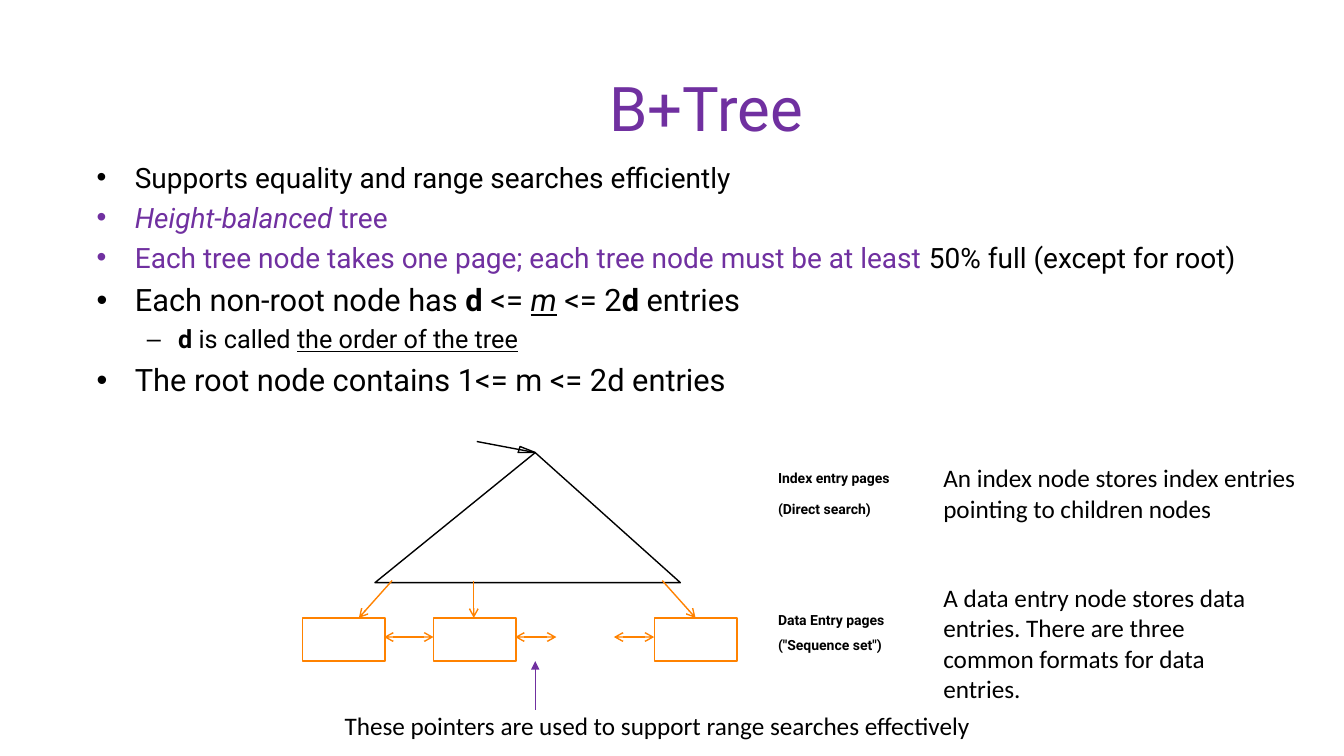
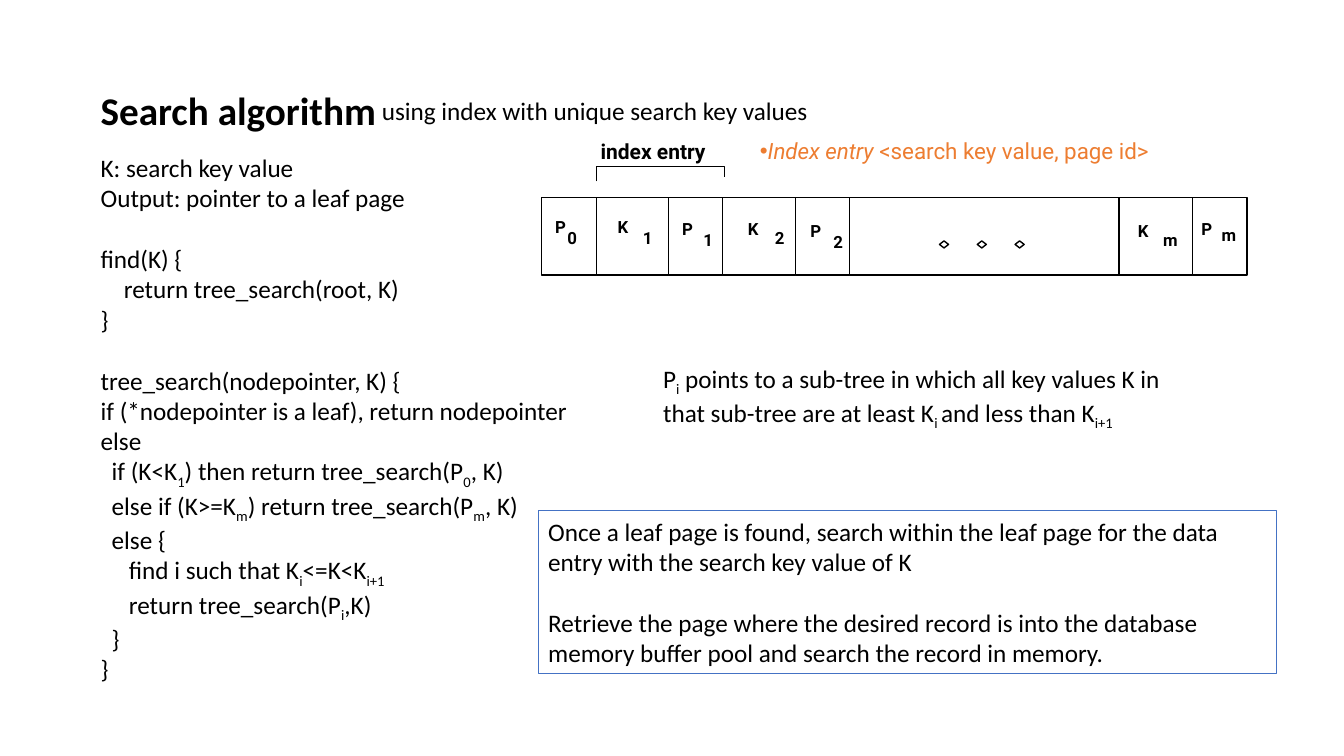
from itertools import pairwise
from pptx import Presentation, util as u
from pptx.dml.color import RGBColor
from pptx.enum import shapes, text
from pptx.oxml.ns import qn
from lxml import etree

GRID = u.Inches(0.1)
WIDE, HIGH = 133.33, 75
BLACK, PURPLE, ORANGE = "000000", "7030A0", "FF8200"
RUST, BLUE = "ED7D31", "4472C4"
HEAD, BODY = "Roboto", "Calibri"

BULLETS = [
    ("Supports equality and range searches efficiently", 20, 0),
    ("~ip:Height-balanced~~p: tree~", 20, 0),
    ("~p:Each tree node takes one page; each tree node must be at least ~"
     "50% full (except for root)", 20, 0),
    ("Each non-root node has ~b:d~ <= ~iu:m~ <= 2~b:d~ entries", 22, 0),
    ("~b:d~ is called ~u:the order of the tree~", 18, 1),
    ("The root node contains 1<= m <= 2d entries", 22, 0),
]
LEVELS = [(0.38, 0.38, "•"), (0.81, 0.31, "–")]

NOTES = [
    ("Index entry pages", 46.1, 13.7),
    ("(Direct search)", 49.2, 11.7),
    ("Data Entry pages", 60.2, 13),
    ('("Sequence set")', 62.7, 12.7),
]

CODE = [
    ("K: search key value", 0, 0),
    ("Output: pointer to a leaf page", 0, 0),
    ("find(K) {", 0, 1),
    ("return tree_search(root, K)", 4, 0),
    ("}", 0, 0),
    ("tree_search(nodepointer, K) {", 0, 1),
    ("if (*nodepointer is a leaf), return nodepointer", 0, 0),
    ("else", 0, 0),
    ("if (K<K~s:1~) then return tree_search(P~s:0~, K)", 2, 0),
    ("else if (K>=K~s:m~) return tree_search(P~s:m~, K)", 2, 0),
    ("else {", 2, 0),
    ("find i such that K~s:i~<=K<K~s:i+1~", 5, 0),
    ("return tree_search(P~s:i~,K)", 5, 0),
    ("}", 2, 0),
    ("}", 0, 0),
]
SPACE = 0.0565
LINE = u.Pt(22)

EDGES = [53.7, 59.2, 66.3, 71.7, 78.9, 84.3, 111, 118.3, 123.7]
KEYS = [
    ("P", "0", 54.1, 21, 1.2, 1.1),
    ("K", "1", 60.3, 21, 2.5, 1.1),
    ("P", "1", 66.7, 21.2, 2.1, 1.1),
    ("K", "2", 73.2, 21.2, 2.7, 0.9),
    ("P", "2", 79.4, 21.4, 2.3, 1.1),
    ("K", "m", 111.9, 21.4, 2.5, 0.9),
    ("P", "m", 118.2, 21.2, 2, 0.6),
]


def at(*nums):
    """Turn grid units into lengths."""
    return [round(num * GRID) for num in nums]


def hue(code):
    """Turn a hex string into a colour."""
    return RGBColor.from_string(code)


def fill_in(frame, lines, size, font=BODY, color=BLACK, bold=False):
    """Write lines; pieces such as ~bi:word~ carry style marks."""
    for num, line in enumerate(lines):
        par = frame.paragraphs[0] if num == 0 else frame.add_paragraph()
        for odd, piece in enumerate(line.split("~")):
            if not piece:
                continue
            marks, _, words = piece.partition(":") if odd % 2 else ("", "", piece)
            run = par.add_run()
            run.text = words
            face = run.font
            face.name, face.size = font, u.Pt(size)
            face.bold = bold or "b" in marks
            face.italic, face.underline = "i" in marks, "u" in marks
            face.color.rgb = hue(PURPLE if "p" in marks else color)
            if "s" in marks:
                run._r.get_or_add_rPr().set("baseline", "-25000")
    return frame


def label(slide, box, lines, size, wrap=True, **look):
    """Add a text box."""
    frame = slide.shapes.add_textbox(*at(*box)).text_frame
    frame.word_wrap = wrap
    return fill_in(frame, lines, size, **look)


def indent(par, left, hang=0, mark=None):
    """Set a paragraph's indent and bullet, in inches."""
    props = par._p.get_or_add_pPr()
    props.set("marL", str(u.Inches(left)))
    props.set("indent", str(-u.Inches(hang)))
    if mark:
        face = etree.SubElement(props, qn("a:buFont"))
        face.set("typeface", "Arial")
        etree.SubElement(props, qn("a:buChar")).set("char", mark)


def trim(shape, color, width=1):
    """Leave a shape with only its outline."""
    shape.shadow.inherit = False
    shape.fill.background()
    shape.line.color.rgb = hue(color)
    shape.line.width = u.Pt(width)
    return shape


def block(slide, box, color, width=1, kind=shapes.MSO_SHAPE.RECTANGLE):
    """Add an outlined preset shape."""
    return trim(slide.shapes.add_shape(kind, *at(*box)), color, width)


def trace(slide, points, close=True):
    """Add a black outline through points."""
    spots = [at(*point) for point in points]
    pen = slide.shapes.build_freeform(*spots[0])
    pen.add_line_segments(spots[1:], close=close)
    trim(pen.convert_to_shape(), BLACK)


def link(slide, ends, color, width=1, tips=(), kind="arrow"):
    """Add a line with arrowheads at the named ends."""
    line = slide.shapes.add_connector(shapes.MSO_CONNECTOR.STRAIGHT, *at(*ends))
    line.line.color.rgb = hue(color)
    line.line.width = u.Pt(width)
    stroke = line.line._get_or_add_ln()
    for tip in tips:
        etree.SubElement(stroke, qn("a:" + tip)).set("type", kind)
    etree.SubElement(line._element.spPr, qn("a:effectLst"))


def draw_tree(slide):
    """Draw the index triangle above its linked pages."""
    trace(slide, [(37.2, 57.8), (53.1, 44.9), (67.5, 57.8)])
    link(slide, (47.3, 43.8, 53.1, 44.9), BLACK)
    trace(slide, [(51.6, 44.3), (53.1, 44.9), (51.4, 44.9)])
    for left in (30, 43, 64.9):
        block(slide, (left, 61.3, 8.2, 4.3), ORANGE)
    for start, end in ((38.1, 43), (51.1, 55.2), (60.9, 64.9)):
        link(slide, (start, 63.2, end, 63.2), ORANGE, tips=("headEnd", "tailEnd"))
    for start, end in ((38.9, 35.6), (47, 47), (65.7, 69)):
        link(slide, (start, 57.6, end, 61.3), ORANGE, tips=("tailEnd",))


def tree_page(slide):
    """Build the slide on the tree's shape."""
    title = label(slide, (24.2, 4.6, 91.7, 12.1), ["B+Tree"], 44,
                  font=HEAD, color=PURPLE)
    title.vertical_anchor = text.MSO_ANCHOR.MIDDLE
    title.paragraphs[0].alignment = text.PP_ALIGN.CENTER

    frame = label(slide, (8.6, 15.4, 121.3, 23.6),
                  [row[0] for row in BULLETS], 20, font=HEAD)
    for par, (_, size, level) in zip(frame.paragraphs, BULLETS):
        par.space_before = u.Pt(round(size * 0.23, 1))
        indent(par, *LEVELS[level])
        for run in par.runs:
            run.font.size = u.Pt(size)

    draw_tree(slide)
    for words, top, width in NOTES:
        label(slide, (76.2, top, width, 2.7), [words], 10, wrap=False,
              font=HEAD, bold=True)
    label(slide, (92.6, 45.4, 40.7, 7.1),
          ["An index node stores index entries pointing to children nodes"], 18)
    label(slide, (92.6, 57.3, 34.7, 13.1),
          ["A data entry node stores data entries. There are three common "
           "formats for data entries."], 18)
    link(slide, (53.1, 70.4, 53.1, 65.6), PURPLE, 0.5, ("tailEnd",), "triangle")
    label(slide, (33.2, 70, 64.8, 4),
          ["These pointers are used to support range searches effectively"],
          18, wrap=False)


def draw_node(slide):
    """Draw the index node with its keys and pointers."""
    for left, right in pairwise(EDGES):
        block(slide, (left, 19.6, right - left, 7.7), BLACK)
    for num in range(3):
        block(slide, (93.2 + 3.75 * num, 23.9, 0.9, 0.7), BLACK,
              kind=shapes.MSO_SHAPE.DIAMOND)
    for name, index, left, top, right, down in KEYS:
        label(slide, (left, top, 3, 3), [name], 12, wrap=False,
              font=HEAD, bold=True)
        label(slide, (left + right, top + down, 3.4 if index == "m" else 3, 3),
              [index], 12, wrap=False, font=HEAD, bold=True)
    trace(slide, [(59.2, 18), (59.2, 16.5), (71.9, 16.5), (71.9, 17.6)], False)
    label(slide, (58.6, 13.2, 13.3, 3.5), ["index entry"], 15, wrap=False,
          font=HEAD, bold=True)


def search_page(slide):
    """Build the slide on the search algorithm."""
    label(slide, (9, 8.1, 29.7, 5.7), ["Search algorithm"], 28, wrap=False,
          bold=True)
    label(slide, (36.9, 9, 45.1, 4),
          ["using index with unique search key values"], 18, wrap=False)
    frame = label(slide, (9, 14.6, 48.9, 52.5), [row[0] for row in CODE], 18,
                  wrap=False)
    for par, (_, spaces, gap) in zip(frame.paragraphs, CODE):
        par.space_before = LINE * gap
        indent(par, round(spaces * SPACE, 2))

    draw_node(slide)
    entry = label(slide, (74.4, 13.1, 50, 3.7),
                  ["~i:Index entry~ <search key value, page id>"], 16,
                  font=HEAD, color=RUST)
    indent(entry.paragraphs[0], 0, 0, "•")
    label(slide, (64.8, 35.5, 51.8, 7.1),
          ["P~s:i~ points to a sub-tree in which all key values K in that "
           "sub-tree are at least K~s:i ~and less than K~s:i+1~"], 18)

    panel = block(slide, (53.4, 50.6, 73.2, 16.2), BLUE, 0.75).text_frame
    panel.word_wrap = True
    fill_in(panel, [
        "Once a leaf page is found, search within the leaf page for the data "
        "entry with the search key value of K",
        "Retrieve the page where the desired record is into the database "
        "memory buffer pool and search the record in memory."], 18)
    for par in panel.paragraphs:
        par.alignment = text.PP_ALIGN.LEFT
    panel.paragraphs[1].space_before = LINE


def main():
    """Build and save the deck."""
    deck = Presentation()
    deck.slide_width, deck.slide_height = at(WIDE, HIGH)
    for build in (tree_page, search_page):
        build(deck.slides.add_slide(deck.slide_layouts[6]))
    deck.save("out.pptx")


main()
